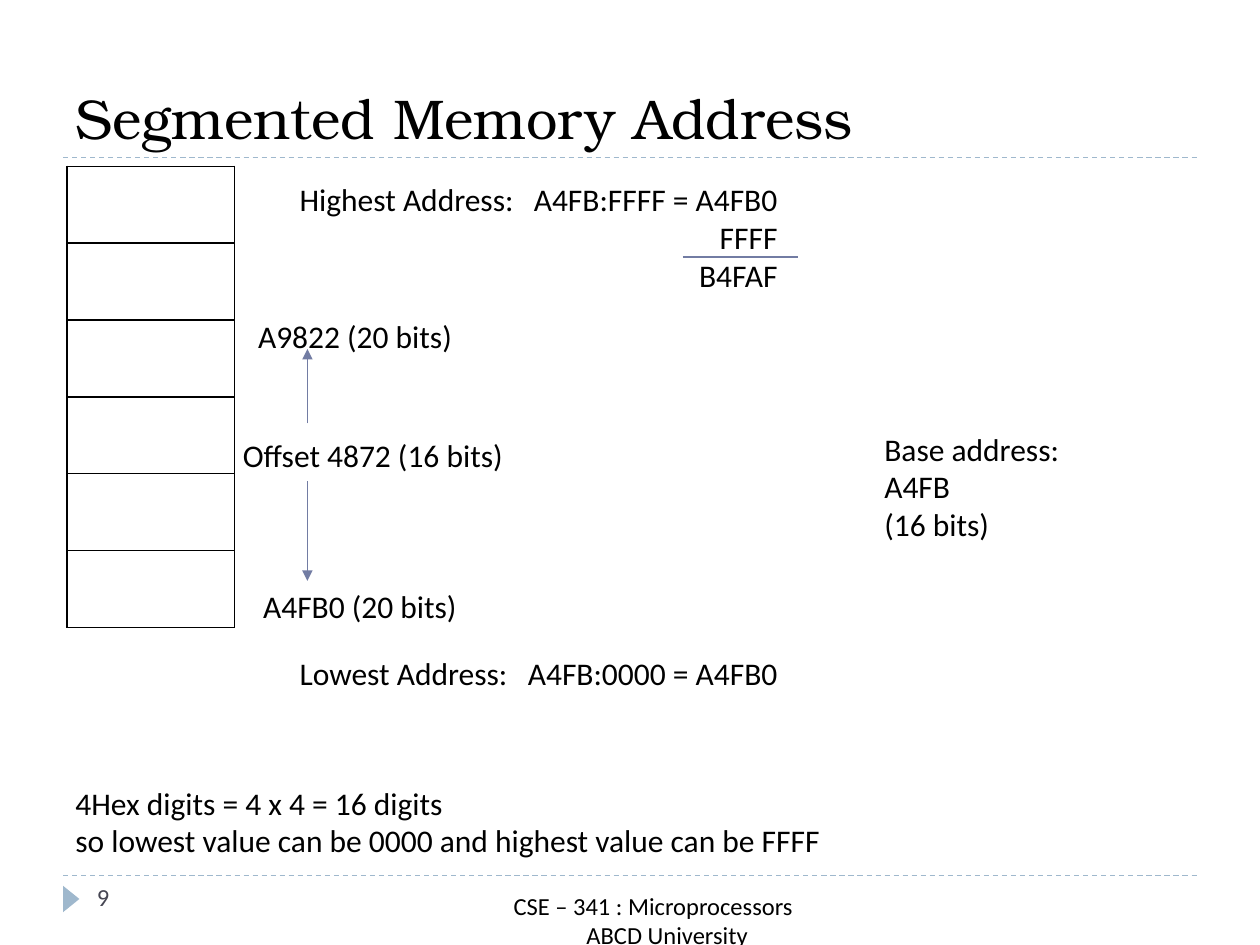
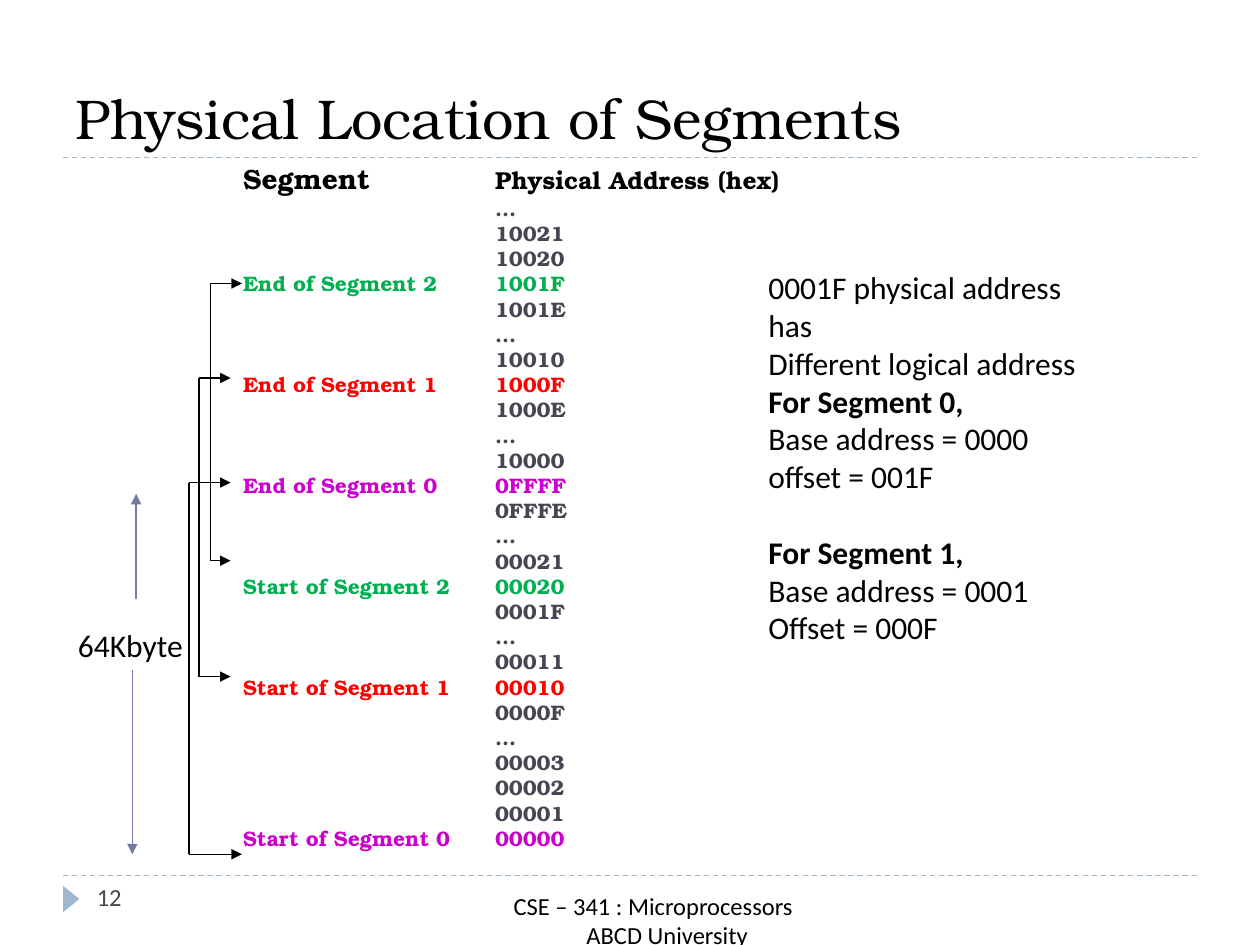
from lxml.etree import SubElement
from pptx import Presentation
from pptx.dml.color import RGBColor
from pptx.enum.dml import MSO_LINE
from pptx.enum.shapes import MSO_CONNECTOR, MSO_SHAPE
from pptx.enum.text import MSO_ANCHOR, MSO_AUTO_SIZE, PP_ALIGN
from pptx.oxml.ns import qn
from pptx.util import Inches, Pt

BODY_FONT, TITLE_FONT = "Calibri", "TeX Gyre Bonum"
BLACK, GRAY, RULE, ARROW = "000000", "464653", "9FB8CD", "727CA3"
GREEN, RED, PURPLE = "00B050", "FF0000", "CC00CC"


def write(tf, text, p=None, size=18, font=BODY_FONT, color=BLACK, bold=False,
          align=PP_ALIGN.LEFT, before=0, indent=0):
    """Add a formatted paragraph, or a run when a paragraph p is given."""
    if p is None:
        p = tf.paragraphs[-1]
        if p.runs:
            p = tf.add_paragraph()
        p.alignment = align
        p.space_before = Pt(before)
        pPr = p._p.get_or_add_pPr()
        pPr.set("marL", str(Inches(indent)))
        pPr.set("indent", "0")
        SubElement(pPr, qn("a:buNone"))
    r = p.add_run()
    r.text = text
    r.font.size = Pt(size)
    r.font.name = font
    r.font.bold = bold
    r.font.color.rgb = RGBColor.from_string(color)
    return p


def add_line(s, x1, y1, x2, y2, color=BLACK, arrow=False, dash=None):
    cx = s.shapes.add_connector(MSO_CONNECTOR.STRAIGHT, Inches(x1), Inches(y1),
                                Inches(x2), Inches(y2))
    cx.line.color.rgb = RGBColor.from_string(color)
    cx.line.width = Pt(0.75)
    if dash:
        cx.line.dash_style = dash
    if arrow:
        SubElement(cx.line._get_or_add_ln(), qn("a:tailEnd"), type="triangle")
    SubElement(cx._element.spPr, qn("a:effectLst"))


prs = Presentation()
prs.slide_width, prs.slide_height = Inches(10), Inches(7.5)
memory = prs.slides.add_slide(prs.slide_layouts[5])
segments = prs.slides.add_slide(prs.slide_layouts[1])

# Title, rules, marker shared by both slides
for s, title in ((memory, "Segmented Memory Address"),
                 (segments, "Physical Location of Segments")):
    for y in (6.95, 1.25):
        add_line(s, 0.5, y, 9.5, y, RULE, dash=MSO_LINE.DASH)
    marker = s.shapes.add_shape(MSO_SHAPE.ISOSCELES_TRIANGLE, Inches(0.46),
                                Inches(7.07), Inches(0.21), Inches(0.13))
    marker.rotation = 90
    marker.shadow.inherit = False
    marker.fill.solid()
    marker.fill.fore_color.rgb = RGBColor.from_string(RULE)
    marker.line.fill.background()
    sp = s.shapes.title
    sp.left, sp.top, sp.width, sp.height = (Inches(v) for v in (0.5, 0.17, 9, 1.08))
    tf = sp.text_frame
    tf.auto_size = MSO_AUTO_SIZE.NONE
    tf.vertical_anchor = MSO_ANCHOR.BOTTOM
    write(tf, title, size=32, font=TITLE_FONT)

# Text boxes: slide, left, top, width, height, lines, format of lines
number = dict(size=14, color=GRAY)
right = dict(align=PP_ALIGN.RIGHT)
bold = dict(bold=True)
boxes = [
    (memory, 0.67, 6.95, 2.17, 0.4, ["9"], number),
    (segments, 0.67, 6.95, 2.17, 0.4, ["12"], number),
    (memory, 1.83, 3.41, 2.33, 0.4, ["Offset 4872 (16 bits)"], {}),
    (memory, 2.28, 1.38, 1.9, 0.4, ["Highest Address:"], {}),
    (memory, 4, 1.38, 2.27, 1.01, ["A4FB:FFFF = A4FB0", "FFFF", "B4FAF"], right),
    (memory, 2.28, 5.14, 1.9, 0.4, ["Lowest Address:"], {}),
    (memory, 4, 5.14, 2.27, 0.4, ["A4FB:0000 = A4FB0"], right),
    (memory, 1.99, 4.61, 1.8, 0.4, ["A4FB0 (20 bits)"], {}),
    (memory, 1.95, 2.47, 2.05, 0.4, ["A9822 (20 bits)"], {}),
    (memory, 6.92, 3.36, 2.21, 1.01, ["Base address:", "A4FB", "(16 bits)"], {}),
    (memory, 0.5, 6.17, 6.5, 0.71,
     ["4Hex digits = 4 x 4 = 16 digits",
      "so lowest value can be 0000 and highest value can be FFFF"], {}),
    (segments, 6, 2.08, 2.8, 3.13,
     ["0001F physical address has", "Different logical address",
      ("For Segment 0,", bold), "Base address = 0000", "offset = 001F",
      ("For Segment 1,", dict(bold=True, before=21.6)),
      "Base address = 0001", "Offset = 000F"], {}),
    (segments, 0.52, 4.92, 1.06, 0.4, ["64Kbyte"], {}),
]
for s in (memory, segments):
    boxes.append((s, 1.81, 7.02, 6.75, 0.4,
                  ["CSE – 341 : Microprocessors",
                   ("ABCD University", dict(indent=0.22))],
                  dict(size=14, align=PP_ALIGN.CENTER)))
for s, x, y, w, h, lines, fmt in boxes:
    tf = s.shapes.add_textbox(Inches(x), Inches(y), Inches(w), Inches(h)).text_frame
    tf.word_wrap = True
    for line in lines:
        text, extra = (line, {}) if isinstance(line, str) else line
        write(tf, text, **{**fmt, **extra})

# Slide 1: memory cells, offset arrows, sum line
ROWS, ROW_H = 6, 0.61
table = memory.shapes.add_table(ROWS, 1, Inches(0.53), Inches(1.32), Inches(1.33),
                                Inches(ROWS * ROW_H)).table
table.first_row = table.horz_banding = False
for row in table.rows:
    row.height = Inches(ROW_H)
    cell = row.cells[0]
    tcPr = cell._tc.get_or_add_tcPr()
    for side in ("lnL", "lnR", "lnT", "lnB"):
        ln = SubElement(tcPr, qn(f"a:{side}"), w=str(Pt(1)))
        SubElement(SubElement(ln, qn("a:solidFill")), qn("a:srgbClr"), val=BLACK)
    cell.fill.background()
add_line(memory, 2.44, 3.82, 2.44, 4.61, ARROW, arrow=True)
add_line(memory, 2.44, 3.36, 2.44, 2.77, ARROW, arrow=True)
add_line(memory, 5.42, 2.04, 6.33, 2.04, ARROW)

# Slide 2: address list with segment limits
limits = {
    "1001F": ("End of Segment 2", GREEN),
    "1000F": ("End of Segment 1", RED),
    "0FFFF": ("End of Segment 0", PURPLE),
    "00020": ("Start of Segment 2", GREEN),
    "00010": ("Start of Segment 1", RED),
    "00000": ("Start of Segment 0", PURPLE),
}
addresses = ("… 10021 10020 1001F 1001E … 10010 1000F 1000E … 10000 0FFFF 0FFFE "
             "… 00021 00020 0001F … 00011 00010 0000F … 00003 00002 00001 00000")
sp = segments.placeholders[1]
sp.left, sp.top, sp.width, sp.height = (Inches(v) for v in (1.83, 0.42, 6.33, 6.38))
tf = sp.text_frame
tf.auto_size = MSO_AUTO_SIZE.NONE
tf.vertical_anchor = MSO_ANCHOR.BOTTOM
heading = write(tf, "Segment", size=16, font=TITLE_FONT, bold=True)
write(tf, "\t\tPhysical Address (hex)", heading, size=14, font=TITLE_FONT, bold=True)
for address in addresses.split():
    row_format = dict(size=12, font=TITLE_FONT, bold=True)
    if address in limits:
        label, color = limits[address]
        write(tf, f"{label}\t{address}", color=color, **row_format)
    else:
        write(tf, address, color=GRAY, indent=2, **row_format)

# Brackets joining the end and start of each segment
for x, end_y, start_y, end_tip, start_tip in ((1.5, 3.83, 6.78, 1.83, 1.92),
                                              (1.58, 3, 5.37, 1.83, 1.83),
                                              (1.67, 2.25, 4.45, 1.92, 1.83)):
    add_line(segments, x, start_y, start_tip, start_y, arrow=True)
    add_line(segments, x, start_y, x, end_y)
    add_line(segments, x, end_y, end_tip, end_y, arrow=True)
add_line(segments, 1.08, 4.75, 1.08, 3.92, ARROW, arrow=True)
add_line(segments, 1.05, 5.32, 1.05, 6.78, ARROW, arrow=True)

prs.save("out.pptx")
